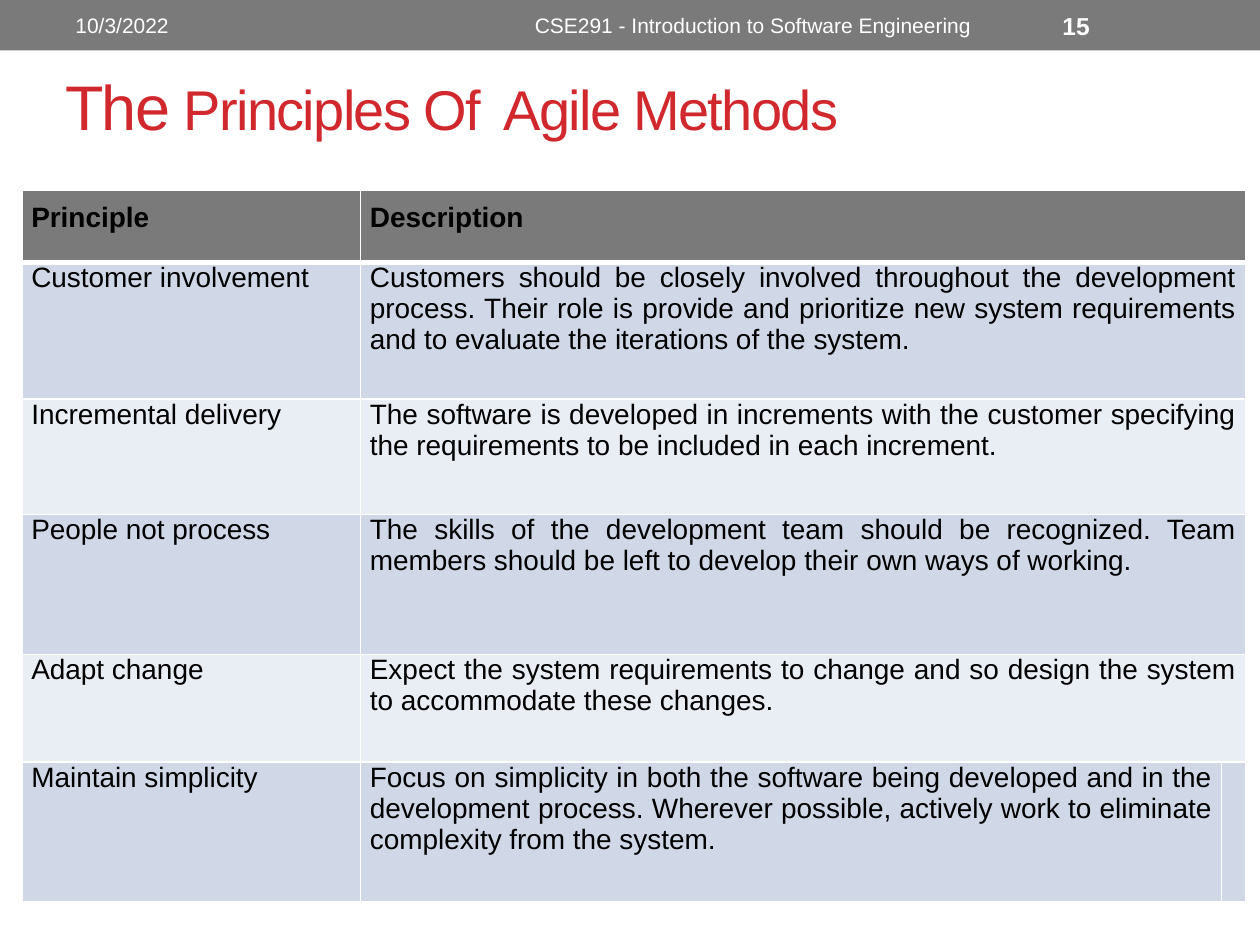
"""Build the slide on the principles of agile methods."""
from lxml import etree
from pptx import Presentation
from pptx.dml.color import RGBColor
from pptx.enum.shapes import MSO_SHAPE
from pptx.enum.text import MSO_ANCHOR, MSO_AUTO_SIZE, PP_ALIGN
from pptx.oxml.ns import qn
from pptx.util import Pt

RECTANGLE = MSO_SHAPE.RECTANGLE
MIDDLE = MSO_ANCHOR.MIDDLE
NO_FIT = MSO_AUTO_SIZE.NONE
LEFT, CENTER, JUSTIFY = PP_ALIGN.LEFT, PP_ALIGN.CENTER, PP_ALIGN.JUSTIFY

COLUMN_WIDTHS = (193.5, 492, 10.5)
ROW_HEIGHTS = (41.5, 78, 66, 80, 61.5, 80)
PRINCIPLES = (
    ("Principle", "Description"),
    ("Customer involvement ",
     "Customers should be closely involved throughout the development process. "
     "Their role is provide and prioritize new system requirements and to "
     "evaluate the iterations of the system."),
    ("Incremental delivery",
     "The software is developed in increments with the customer specifying the "
     "requirements to be included in each increment."),
    ("People not process",
     "The skills of the development team should be recognized. Team members "
     "should be left to develop their own ways of working."),
    ("Adapt change",
     "Expect the system requirements to change and so design the system to "
     "accommodate these changes."),
    ("Maintain simplicity",
     "Focus on simplicity in both the software being developed and in the "
     "development process. Wherever possible, actively work to eliminate "
     "complexity from the system."),
)


def color(value):
    """Turn a hex string into a colour."""
    return RGBColor.from_string(value)


class SlideBuilder:
    """Hold the style and the current slide."""

    font = "Arial"
    red, gray, white, black = "D1282E", "7A7A7A", "FFFFFF", "000000"
    bands = ("E9EDF4", "D0D8E8")

    def __init__(self, page):
        """Keep the slide to draw on."""
        self.page = page

    def style(self, para, size, hue, bold=False, align=LEFT):
        """Format one paragraph."""
        para.alignment = align
        para.font.name = self.font
        para.font.size = Pt(size)
        para.font.bold = bold
        para.font.color.rgb = color(hue)

    def band(self, left, top, width, height):
        """Draw a plain filled bar."""
        bar = self.page.shapes.add_shape(
            RECTANGLE, Pt(left), Pt(top), Pt(width), Pt(height))
        bar.shadow.inherit = False
        bar.fill.solid()
        bar.fill.fore_color.rgb = color(self.gray)
        bar.line.fill.background()

    def title(self, spans, left, top, width, height):
        """Fill the title placeholder with (text, size) spans."""
        box = self.page.shapes.title
        box.left, box.top, box.width, box.height = map(Pt, (left, top, width, height))
        frame = box.text_frame
        frame.auto_size = NO_FIT
        frame.vertical_anchor = MIDDLE
        para = frame.paragraphs[0]
        for text, size in spans:
            span = para.add_run()
            span.text = text
            span.font.size = Pt(size)
            span._r.get_or_add_rPr().set("spc", "-100")
        self.style(para, size, self.red)

    def label(self, text, left, width, size=12, bold=False, align=LEFT):
        """Write one text in the top bar."""
        box = self.page.shapes.add_textbox(Pt(left), Pt(1.5), Pt(width), Pt(26))
        frame = box.text_frame
        frame.word_wrap = True
        frame.vertical_anchor = MIDDLE
        frame.text = text
        self.style(frame.paragraphs[0], size, self.white, bold, align)

    def borders(self, cell, top, bottom):
        """Give a cell white borders."""
        properties = cell._tc.get_or_add_tcPr()
        for side, width in (("L", 1), ("R", 1), ("T", top), ("B", bottom)):
            line = etree.SubElement(properties, qn(f"a:ln{side}"), w=str(Pt(width)))
            fill = etree.SubElement(line, qn("a:solidFill"))
            etree.SubElement(fill, qn("a:srgbClr"), val=self.white)

    def table(self, rows, left, top):
        """Draw the table of principles with a header and banded rows."""
        grid = self.page.shapes.add_table(
            len(rows), len(COLUMN_WIDTHS), Pt(left), Pt(top),
            Pt(sum(COLUMN_WIDTHS)), Pt(sum(ROW_HEIGHTS))).table
        for column, width in zip(grid.columns, COLUMN_WIDTHS):
            column.width = Pt(width)
        for index, texts in enumerate(rows):
            header = index == 0
            grid.rows[index].height = Pt(ROW_HEIGHTS[index])
            cells = list(grid.rows[index].cells)
            for cell in cells:
                self.borders(cell, 3 if index == 1 else 1, 3 if header else 1)
                cell.fill.solid()
                cell.fill.fore_color.rgb = color(
                    self.gray if header else self.bands[index % 2])
                cell.margin_left = cell.margin_right = Pt(5.4)
                cell.margin_top = Pt(7.2 if header else 0)
                cell.margin_bottom = Pt(7.2)
            for cell, text in zip(cells, texts):
                cell.text = text
                self.style(cell.text_frame.paragraphs[0], 16, self.black,
                           header, JUSTIFY)
            if index < len(rows) - 1:
                cells[1].merge(cells[2])


def main():
    """Build and save the deck."""
    deck = Presentation()
    deck.slide_width, deck.slide_height = Pt(720), Pt(540)
    builder = SlideBuilder(deck.slides.add_slide(deck.slide_layouts[5]))
    builder.band(0, 0, 720, 28.8)
    builder.title((("The", 36), (" Principles Of  Agile Methods", 32)),
                  30, 30, 648, 60)
    builder.label("15", 600, 84, size=14, bold=True)
    builder.table(PRINCIPLES, 12.5, 108.5)
    builder.label("10/3/2022", 36, 228)
    builder.label("CSE291 - Introduction to Software Engineering ", 270, 324,
                  align=CENTER)
    deck.save("out.pptx")


if __name__ == "__main__":
    main()
